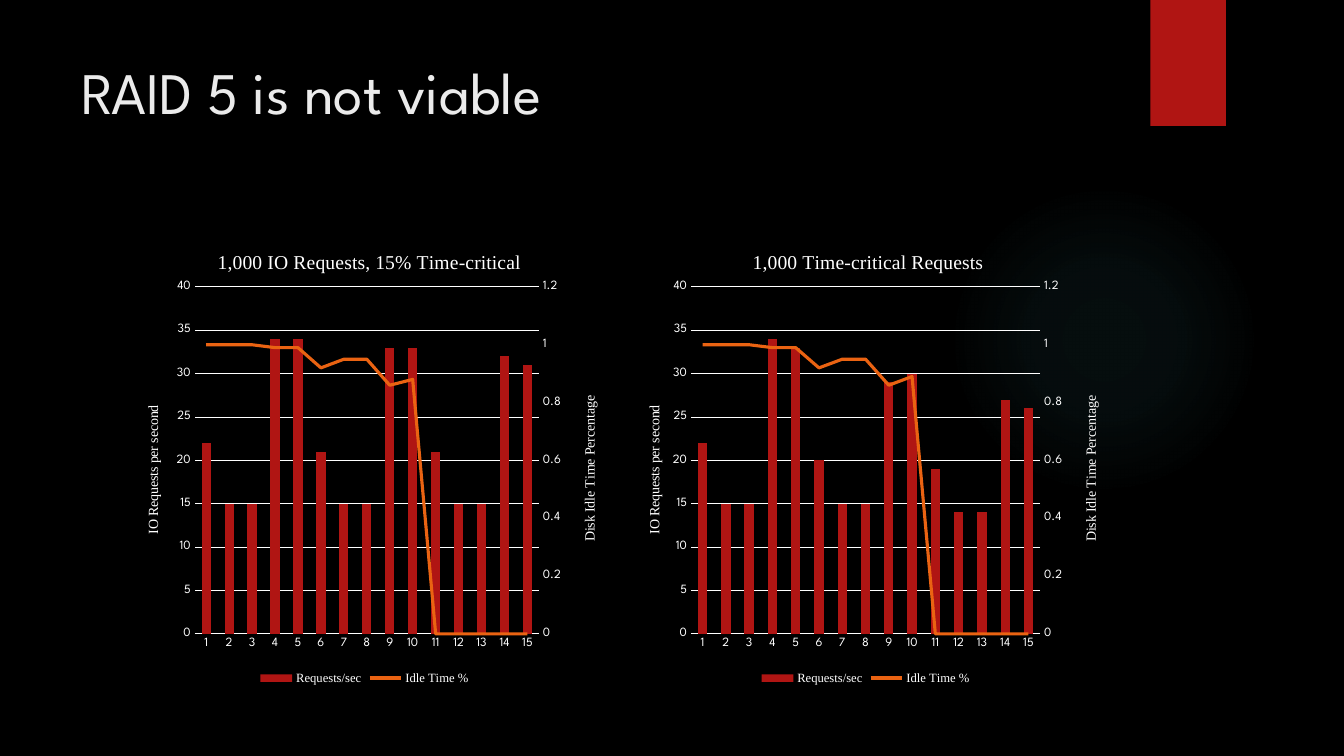
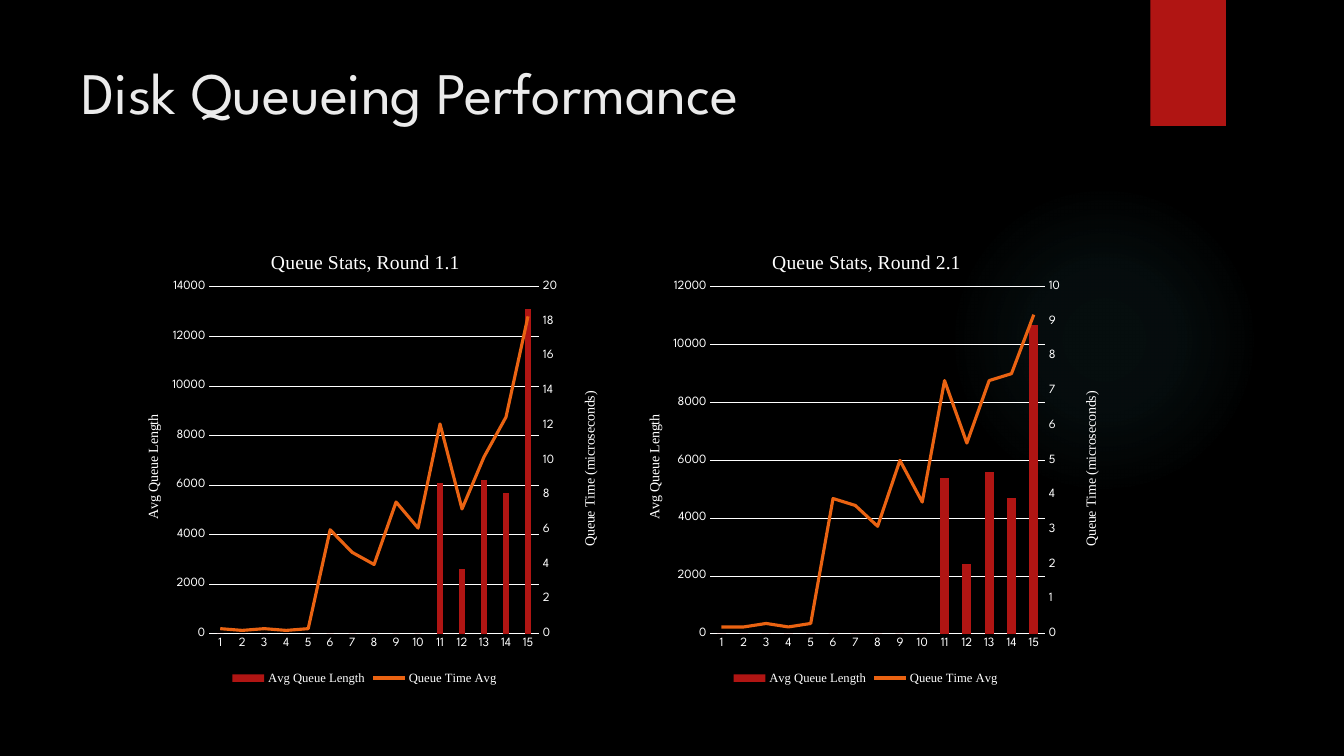
from copy import deepcopy

from pptx import Presentation
from pptx.chart.data import CategoryChartData
from pptx.dml.color import RGBColor
from pptx.enum.chart import XL_CHART_TYPE as ChartType
from pptx.enum.chart import XL_LEGEND_POSITION as LegendPosition
from pptx.enum.chart import XL_MARKER_STYLE as MarkerStyle
from pptx.enum.chart import XL_TICK_MARK as TickMark
from pptx.enum.shapes import MSO_SHAPE as Preset
from pptx.enum.text import MSO_ANCHOR as Anchor
from pptx.enum.text import PP_ALIGN as Align
from pptx.oxml import parse_xml
from pptx.oxml.ns import nsdecls, qn
from pptx.util import Inches, Pt

# Content: axis scales are (maximum, step); plot is (left, width) and
# title_left a left edge, all as fractions of the chart
CATEGORIES = [str(number) for number in range(1, 16)]
SLIDES = [
    {
        "title": "RAID 5 is not viable",
        "names": ("Requests/sec", "Idle Time %"),
        "axes": ("IO Requests per second", "Disk Idle Time Percentage"),
        "axis_title_tops": (0.38, 0.36),
        "charts": [
            {
                "title": "1,000 IO Requests, 15% Time-critical",
                "title_left": 0.19, "plot": (0.15, 0.71), "gap": 150,
                "scales": ((40, 5), (1.2, 0.2)),
                "bars": [22, 15, 15, 34, 34, 21, 15, 15, 33, 33, 21, 15, 15, 32, 31],
                "line": [1, 1, 1, 0.99, 0.99, 0.92, 0.95, 0.95, 0.86, 0.88,
                         0, 0, 0, 0, 0],
            },
            {
                "title": "1,000 Time-critical Requests",
                "title_left": 0.26, "plot": (0.14, 0.72), "gap": 150,
                "scales": ((40, 5), (1.2, 0.2)),
                "bars": [22, 15, 15, 34, 33, 20, 15, 15, 29, 30, 19, 14, 14, 27, 26],
                "line": [1, 1, 1, 0.99, 0.99, 0.92, 0.95, 0.95, 0.86, 0.89,
                         0, 0, 0, 0, 0],
            },
        ],
    },
    {
        "title": "Disk Queueing Performance",
        "names": ("Avg Queue Length", "Queue Time Avg"),
        "axes": ("Avg Queue Length", "Queue Time (microseconds)"),
        "axis_title_tops": (0.4, 0.35),
        "charts": [
            {
                "title": "Queue Stats, Round 1.1",
                "title_left": 0.3, "plot": (0.18, 0.68), "gap": 219,
                "scales": ((14000, 2000), (20, 2)),
                "bars": [0] * 10 + [6100, 2600, 6200, 5700, 13100],
                "line": [0.3, 0.2, 0.3, 0.2, 0.3, 6, 4.7, 4, 7.6, 6.1,
                         12.1, 7.2, 10.2, 12.5, 18.3],
            },
            {
                "title": "Queue Stats, Round 2.1",
                "title_left": 0.3, "plot": (0.18, 0.69), "gap": 150,
                "scales": ((12000, 2000), (10, 1)),
                "bars": [0] * 10 + [5400, 2400, 5600, 4700, 10700],
                "line": [0.2, 0.2, 0.3, 0.2, 0.3, 3.9, 3.7, 3.1, 5, 3.8,
                         7.3, 5.5, 7.3, 7.5, 9.2],
            },
        ],
    },
]

# Shared style
BLACK = RGBColor(0x00, 0x00, 0x00)
WHITE = RGBColor(0xFF, 0xFF, 0xFF)
TITLE_GREY = RGBColor(0xEB, 0xEB, 0xEB)
RED = RGBColor(0xB0, 0x15, 0x13)
ORANGE = RGBColor(0xEA, 0x63, 0x12)
GLOW = RGBColor(0x50, 0xB9, 0xC1)
GLOW_STOPS = [(0, 7), (36, 6), (69, 0)]
SANS, SERIF = "League Spartan", "Times New Roman"

CHART_LEFT, CHART_TOP, CHART_STEP = 1.21, 2.25, 4.97
CHART_WIDTH, CHART_HEIGHT = 4.81, 4.59
PLOT_TOP, PLOT_HEIGHT = 0.13, 0.75
TITLE_TOP = 0.04
AXIS_TITLE_LEFTS = (0.04, 0.94)


def set_font(font, name, size, color=WHITE):
    font.name, font.size, font.bold = name, Pt(size), False
    font.color.rgb = color


def set_text(text_frame, text, name, size, color=WHITE):
    text_frame.text = text
    set_font(text_frame.paragraphs[0].runs[0].font, name, size, color)


def set_layout(parent, **fractions):
    """Place a chart part by fractions of the chart: x, y and maybe w, h."""
    layout = parent.find(qn("c:layout"))
    if layout is not None:
        index = parent.index(layout)
        parent.remove(layout)
    else:
        text = parent.find(qn("c:tx"))
        index = 0 if text is None else parent.index(text) + 1
    target = '<c:layoutTarget val="inner"/>' if "w" in fractions else ""
    modes = "".join(f'<c:{key}Mode val="edge"/>' for key in "xy")
    values = "".join(f'<c:{key} val="{value}"/>' for key, value in fractions.items())
    parent.insert(index, parse_xml(
        f'<c:layout {nsdecls("c")}><c:manualLayout>{target}{modes}{values}'
        "</c:manualLayout></c:layout>"))


# Master and layout: background, glow, red tab, title position
def add_backdrop(presentation, layout, slide):
    fill = presentation.slide_master.background.fill
    fill.solid()
    fill.fore_color.rgb = BLACK

    glow = slide.shapes.add_shape(Preset.OVAL, Inches(9.41), Inches(1.83),
                                  Inches(3.08), Inches(3.08))
    tab = slide.shapes.add_shape(Preset.RECTANGLE, Inches(11.41), 0,
                                 Inches(0.75), Inches(1.25))
    tab.fill.solid()
    tab.fill.fore_color.rgb = RED
    glow.fill.background()
    stops = "".join(
        f'<a:gs pos="{position * 1000}"><a:srgbClr val="{GLOW}">'
        f'<a:alpha val="{alpha * 1000}"/></a:srgbClr></a:gs>'
        for position, alpha in GLOW_STOPS)
    properties = glow.element.spPr
    properties.replace(properties.find(qn("a:noFill")), parse_xml(
        f'<a:gradFill {nsdecls("a")}><a:gsLst>{stops}</a:gsLst><a:path path="circle">'
        '<a:fillToRect l="50000" t="50000" r="50000" b="50000"/></a:path></a:gradFill>'))
    for index, shape in enumerate((glow, tab)):
        shape.shadow.inherit = False
        shape.line.fill.background()
        layout.shapes.element.insert(2 + index, shape.element)

    title = layout.placeholders[0]
    title.left, title.top = Inches(0.71), Inches(0.5)
    title.width, title.height = Inches(10.29), Inches(1.53)


def set_slide_title(slide, text):
    text_frame = slide.shapes.title.text_frame
    set_text(text_frame, text, SANS, 42, TITLE_GREY)
    text_frame.vertical_anchor = Anchor.TOP
    text_frame.paragraphs[0].alignment = Align.LEFT


# Charts
def move_line_to_right_axis(chart, title, scale, top):
    """Turn the second series into a line on a copied right-hand axis."""
    plot_area = chart.element.find(".//" + qn("c:plotArea"))
    bars = plot_area.find(qn("c:barChart"))
    series = bars.findall(qn("c:ser"))[1]
    for bar_setting in series.findall(qn("c:invertIfNegative")):
        series.remove(bar_setting)
    line_chart = parse_xml(
        f'<c:lineChart {nsdecls("c")}><c:grouping val="standard"/>'
        '<c:varyColors val="0"/><c:marker val="1"/>'
        '<c:axId val="5001"/><c:axId val="5002"/></c:lineChart>')
    line_chart.insert(2, series)
    bars.addnext(line_chart)

    left_axis = plot_area.find(qn("c:valAx"))
    right_axis = deepcopy(left_axis)
    hidden_axis = deepcopy(plot_area.find(qn("c:catAx")))
    left_axis.addnext(right_axis)
    right_axis.addnext(hidden_axis)
    right_axis.remove(right_axis.find(qn("c:majorGridlines")))
    for axis, settings in (
        (right_axis, {"axId": "5002", "axPos": "r", "crossAx": "5001", "crosses": "max"}),
        (hidden_axis, {"axId": "5001", "delete": "1", "crossAx": "5002"}),
    ):
        for tag, value in settings.items():
            axis.find(qn("c:" + tag)).set("val", value)
    right_axis.find(".//" + qn("c:max")).set("val", str(scale[0]))
    right_axis.find(qn("c:majorUnit")).set("val", str(scale[1]))
    right_title = right_axis.find(qn("c:title"))
    right_title.find(".//" + qn("a:t")).text = title
    set_layout(right_title, x=AXIS_TITLE_LEFTS[1], y=top)


def add_combined_chart(slide, content, item, left):
    data = CategoryChartData()
    data.categories = CATEGORIES
    for name, key in zip(content["names"], ("bars", "line")):
        data.add_series(name, item[key])
    chart = slide.shapes.add_chart(
        ChartType.COLUMN_CLUSTERED, Inches(left), Inches(CHART_TOP),
        Inches(CHART_WIDTH), Inches(CHART_HEIGHT), data).chart
    set_font(chart.font, SANS, 10)

    # Title and legend
    set_text(chart.chart_title.text_frame, item["title"], SERIF, 14)
    set_layout(chart.chart_title.element, x=item["title_left"], y=TITLE_TOP)
    chart.has_legend = True
    chart.legend.position = LegendPosition.BOTTOM
    chart.legend.include_in_layout = False
    set_font(chart.legend.font, SERIF, 9)

    # Axes
    category_axis, value_axis = chart.category_axis, chart.value_axis
    for axis in (category_axis, value_axis):
        axis.major_tick_mark = axis.minor_tick_mark = TickMark.NONE
        set_font(axis.tick_labels.font, SANS, 9)
    value_axis.has_major_gridlines = True
    for line in (category_axis.format.line, value_axis.major_gridlines.format.line):
        line.color.rgb = WHITE
        line.width = Pt(0.75)
    value_axis.format.line.fill.background()
    left_scale, right_scale = item["scales"]
    value_axis.minimum_scale = 0
    value_axis.maximum_scale, value_axis.major_unit = left_scale
    left_title, right_title = content["axes"]
    left_top, right_top = content["axis_title_tops"]
    axis_title = value_axis.axis_title
    set_text(axis_title.text_frame, left_title, SERIF, 10)
    body = axis_title.element.find(".//" + qn("a:bodyPr"))
    body.set("rot", "-5400000")
    body.set("vert", "horz")
    set_layout(axis_title.element, x=AXIS_TITLE_LEFTS[0], y=left_top)

    # Plots
    move_line_to_right_axis(chart, right_title, right_scale, right_top)
    plot_left, plot_width = item["plot"]
    set_layout(chart.element.find(".//" + qn("c:plotArea")),
               x=plot_left, y=PLOT_TOP, w=plot_width, h=PLOT_HEIGHT)
    bar_plot, line_plot = chart.plots
    bar_plot.vary_by_categories = False
    bar_plot.gap_width = item["gap"]
    bar_fill = bar_plot.series[0].format.fill
    bar_fill.solid()
    bar_fill.fore_color.rgb = RED
    line_series = line_plot.series[0]
    line_series.smooth = False
    line_series.marker.style = MarkerStyle.NONE
    line_series.format.line.color.rgb = ORANGE
    line_series.format.line.width = Pt(2.25)


# Build
presentation = Presentation()
presentation.slide_width, presentation.slide_height = Inches(13.33), Inches(7.5)
title_only = presentation.slide_layouts[5]
for number, content in enumerate(SLIDES):
    slide = presentation.slides.add_slide(title_only)
    if number == 0:
        add_backdrop(presentation, title_only, slide)
    set_slide_title(slide, content["title"])
    for column, item in enumerate(content["charts"]):
        add_combined_chart(slide, content, item, CHART_LEFT + column * CHART_STEP)
presentation.save("out.pptx")
